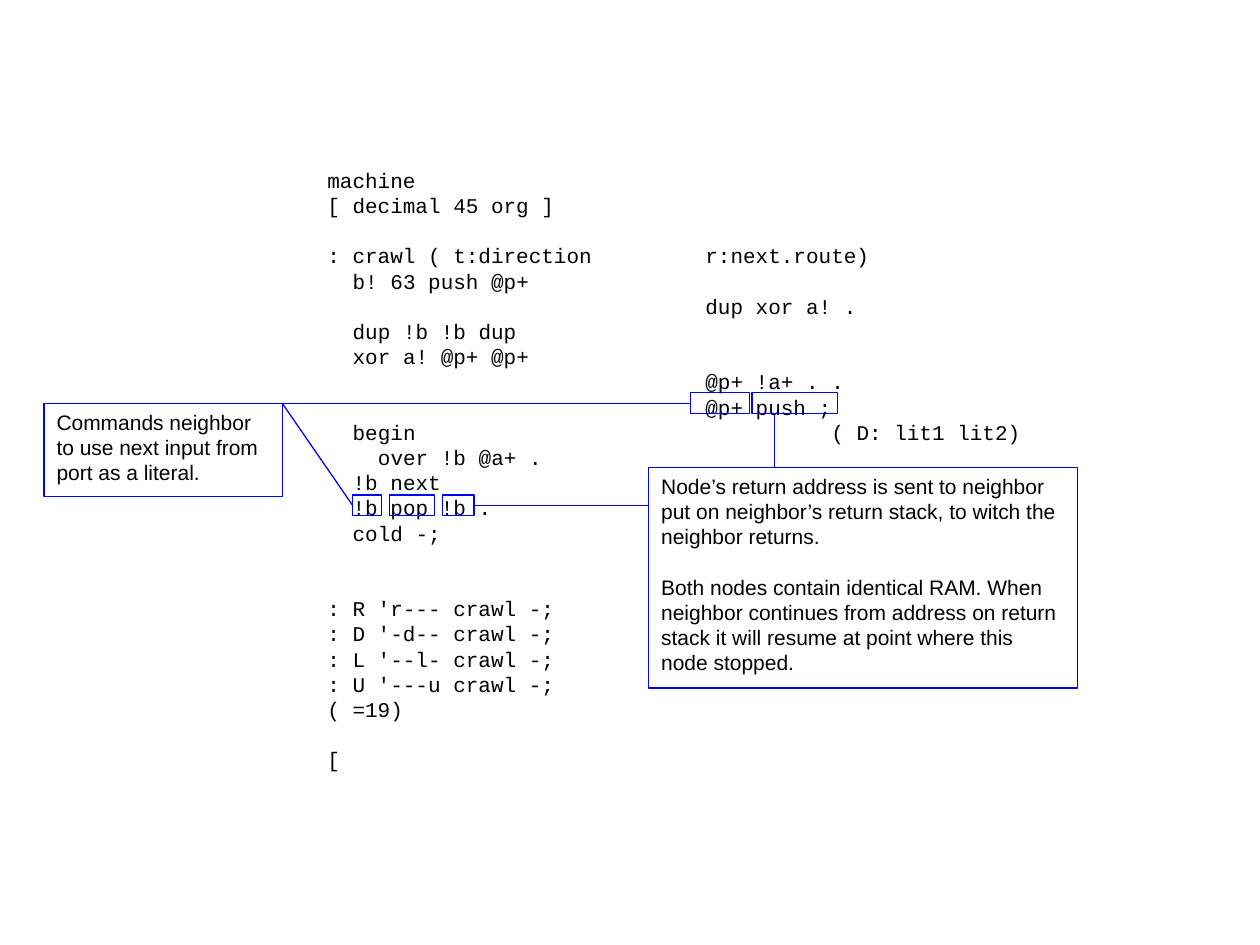
from lxml.etree import SubElement
from pptx import Presentation
from pptx.dml.color import RGBColor
from pptx.enum.shapes import MSO_CONNECTOR as Connector, MSO_SHAPE as Shape
from pptx.enum.text import MSO_ANCHOR as Anchor, PP_ALIGN as Align
from pptx.oxml.ns import qn
from pptx.util import Cm, Pt

COLORS = {"text": "000000", "outline": "0000FF", "note": "FFFFFF"}
LINE_HEIGHT = 14.4
INDENT, DEEP_INDENT, RIGHT, FAR_RIGHT = 0.51, 1.02, 7.62, 10.16

# Blank rows above, then (column in cm, text) pieces
CODE = [
    (0, [(0, "machine")]),
    (0, [(0, "[ decimal 45 org ]")]),
    (1, [(0, ": crawl ( t:direction"), (RIGHT, "r:next.route)")]),
    (0, [(INDENT, "b! 63 push @p+")]),
    (0, [(RIGHT, "dup xor a! .")]),
    (0, [(INDENT, "dup !b !b dup")]),
    (0, [(INDENT, "xor a! @p+ @p+")]),
    (0, [(RIGHT, "@p+ !a+ . .")]),
    (0, [(RIGHT, "@p+ push ;")]),
    (0, [(INDENT, "begin"), (FAR_RIGHT, "( D: lit1 lit2)")]),
    (0, [(DEEP_INDENT, "over !b @a+ .")]),
    (0, [(INDENT, "!b next")]),
    (0, [(INDENT, "!b pop !b .")]),
    (0, [(INDENT, "cold -;")]),
    (2, [(0, ": R 'r--- crawl -;")]),
    (0, [(0, ": D '-d-- crawl -;")]),
    (0, [(0, ": L '--l- crawl -;")]),
    (0, [(0, ": U '---u crawl -;")]),
    (0, [(0, "( =19)")]),
    (1, [(0, "[")]),
]
NOTES = [
    ((13.08, 9.42, 8.64, 4.45), [
        (0, [(0, "Node’s return address is sent to neighbor")]),
        (0, [(0, "put on neighbor’s return stack, to witch the neighbor returns.")]),
        (1, [(0, "Both nodes contain identical RAM. When neighbor continues from "
                 "address on return stack it will resume at point where this "
                 "node stopped.")]),
    ]),
    ((0.89, 8.13, 4.8, 1.88), [
        (0, [(0, "Commands neighbor to use next input from port as a literal.")]),
    ]),
]
# Left, top and width of the box around each marked word
HIGHLIGHTS = {
    "send literal": (7.11, 9.98, 0.58),
    "pop": (7.85, 9.98, 0.91),
    "send address": (8.92, 9.98, 0.64),
    "fetch": (13.92, 7.92, 1.19),
    "push": (15.16, 7.92, 1.73),
}
# Start and end: a point, or a highlight name with its connection site
LINKS = [
    (("send address", 3), (13.08, 10.19)),
    ((5.69, 8.13), ("fetch", 1)),
    ((5.69, 8.13), ("send literal", 1)),
    ((15.62, 9.42), (15.62, 8.34)),
]


def write_lines(shape, lines, font="Arial", size=12, color="text"):
    """Fill a shape with lines whose pieces sit at tab stops."""
    frame = shape.text_frame
    frame.word_wrap = True
    frame.vertical_anchor = Anchor.TOP
    for number, (blank_rows, pieces) in enumerate(lines):
        paragraph = frame.paragraphs[0] if number == 0 else frame.add_paragraph()
        paragraph.alignment = Align.LEFT
        paragraph.line_spacing = Pt(LINE_HEIGHT)
        paragraph.space_before = Pt(blank_rows * LINE_HEIGHT)
        stops = [column for column, _ in pieces if column]
        if stops:
            tab_list = SubElement(paragraph._p.get_or_add_pPr(), qn("a:tabLst"))
            for stop in stops:
                SubElement(tab_list, qn("a:tab"), pos=str(Cm(stop)), algn="l")
        run = paragraph.add_run()
        run.text = "".join(("\t" if column else "") + text for column, text in pieces)
        run.font.name = font
        run.font.size = Pt(size)
        run.font.color.rgb = RGBColor.from_string(COLORS[color])


def add_outlined_box(left, top, width, height):
    box = slide.shapes.add_shape(
        Shape.RECTANGLE, Cm(left), Cm(top), Cm(width), Cm(height))
    box.shadow.inherit = False
    box.fill.background()
    box.line.color.rgb = RGBColor.from_string(COLORS["outline"])
    box.line.width = Pt(0.75)
    return box


presentation = Presentation()
presentation.slide_width = Cm(25.4)
presentation.slide_height = Cm(19.05)
slide = presentation.slides.add_slide(presentation.slide_layouts[6])

code_box = slide.shapes.add_textbox(Cm(6.35), Cm(3.25), Cm(15.44), Cm(12.45))
write_lines(code_box, CODE, font="Courier New")

for position, lines in NOTES:
    note = add_outlined_box(*position)
    note.fill.solid()
    note.fill.fore_color.rgb = RGBColor.from_string(COLORS["note"])
    fill_color = note._element.spPr.find(qn("a:solidFill"))[0]
    SubElement(fill_color, qn("a:alpha"), val="61000")
    write_lines(note, lines)

boxes = {name: add_outlined_box(left, top, width, 0.42)
         for name, (left, top, width) in HIGHLIGHTS.items()}

for start, end in LINKS:
    points = [(0, 0) if point[0] in boxes else point for point in (start, end)]
    link = slide.shapes.add_connector(
        Connector.STRAIGHT, *[Cm(value) for point in points for value in point])
    for point, connect in ((start, link.begin_connect), (end, link.end_connect)):
        if point[0] in boxes:
            connect(boxes[point[0]], point[1])
    link.line.color.rgb = RGBColor.from_string(COLORS["outline"])
    link.line.width = Pt(0.75)
    SubElement(link._element.spPr, qn("a:effectLst"))

presentation.save("out.pptx")
